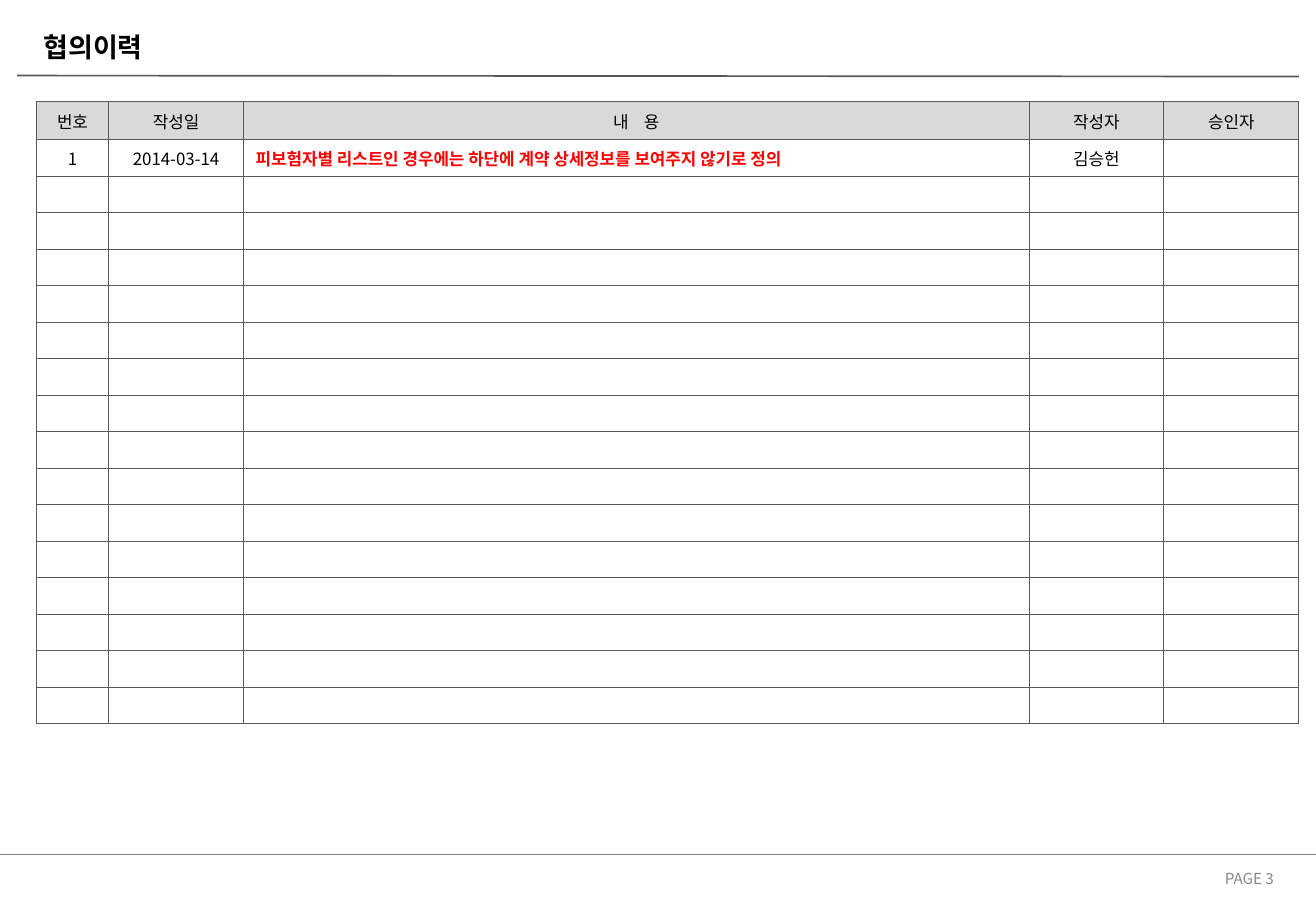
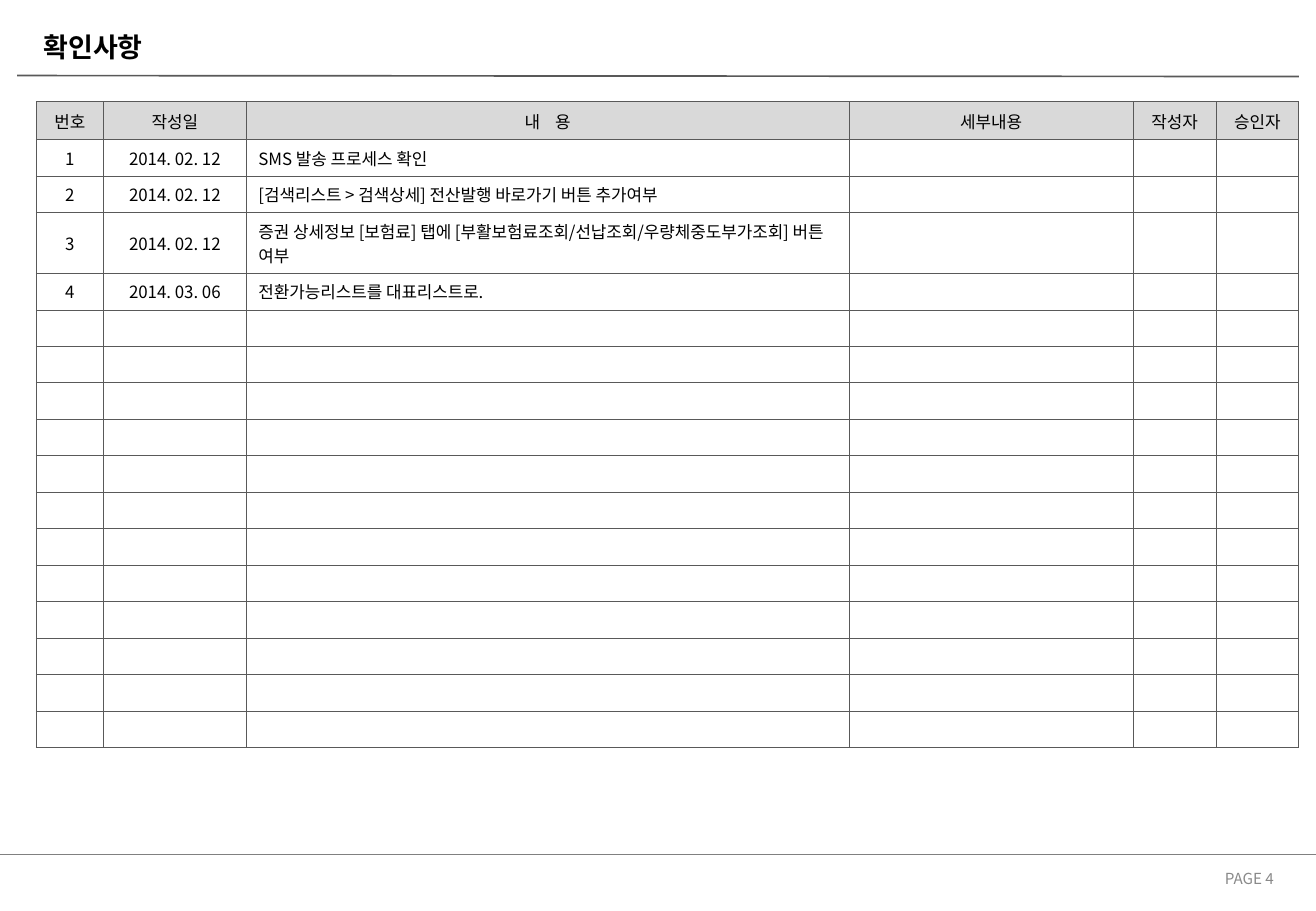
"""Build the discussion log and the check list slides."""
from lxml.etree import SubElement as Sub
from pptx import Presentation
from pptx.dml.color import RGBColor as Rgb
from pptx.enum.shapes import MSO_CONNECTOR as Link
from pptx.enum.text import MSO_ANCHOR as Anchor, MSO_AUTO_SIZE as Auto, PP_ALIGN as Align
from pptx.oxml.ns import qn
from pptx.util import Cm, Pt

BLACK, WHITE, RED = Rgb(0, 0, 0), Rgb(255, 255, 255), Rgb(255, 0, 0)
HEAD, EDGE = Rgb(0xD9, 0xD9, 0xD9), Rgb(0x59, 0x59, 0x59)
GREY, PALE = Rgb(0x80, 0x80, 0x80), Rgb(0x89, 0x89, 0x89)
FONT = "Noto Sans CJK KR"

TITLE = {"size": Pt(16), "bold": True, "color": BLACK}
PAGE = {"size": Pt(9), "color": PALE}
BODY = {"size": Pt(10), "color": BLACK}
ALERT = {"size": Pt(10), "bold": True, "color": RED}

RULES = [
    ((-0.03, 17.86, 27.53, 17.86), GREY, 0.25),
    ((0.36, 1.58, 27.15, 1.6), EDGE, 1),
]
LEFT, TOP, WIDTH = 0.76, 2.13, 26.39
HIGH, LOW, COUNT = 0.79, 0.76, 17
MAIN, WIDE = 2, "내 용"
FIRST = 3

SLIDES = [
    {
        "title": "협의이력",
        "look": ALERT,
        "cols": [1.51, 2.82, None, 2.82, 2.82],
        "rows": [
            ["번호", "작성일", WIDE, "작성자", "승인자"],
            ["1", "2014-03-14",
             "피보험자별 리스트인 경우에는 하단에 계약 상세정보를 보여주지 않기로 정의", "김승헌"],
        ],
    },
    {
        "title": "확인사항",
        "look": BODY,
        "cols": [1.4, 2.99, None, 5.94, 1.73, 1.73],
        "rows": [
            ["번호", "작성일", WIDE, "세부내용", "작성자", "승인자"],
            ["1", "2014. 02. 12", "SMS 발송 프로세스 확인"],
            ["2", "2014. 02. 12", "[검색리스트 > 검색상세] 전산발행 바로가기 버튼 추가여부"],
            ["3", "2014. 02. 12",
             "증권 상세정보 [보험료] 탭에 [부활보험료조회/선납조회/우량체중도부가조회] 버튼 여부"],
            ["4", "2014. 03. 06", "전환가능리스트를 대표리스트로."],
        ],
    },
]


def face(props):
    for tag in ("a:latin", "a:ea"):
        for old in props.findall(qn(tag)):
            props.remove(old)
        Sub(props, qn(tag), typeface=FONT)


def write(frame, text, look, align):
    para = frame.paragraphs[0]
    para.alignment = align
    if not text:
        face(Sub(para._p, qn("a:endParaRPr"), sz=str(int(look["size"].pt * 100))))
        return
    run = para.add_run()
    run.text = text
    for key, val in look.items():
        if key == "color":
            run.font.color.rgb = val
        else:
            setattr(run.font, key, val)
    props = run.font._element
    face(props)
    if text == WIDE:
        props.set("spc", "340")


def place(shape, *box):
    for key, val in zip(("left", "top", "width", "height"), box):
        setattr(shape, key, Cm(val))


def border(cell):
    props = cell._tc.get_or_add_tcPr()
    for side in "LRTB":
        line = Sub(props, qn(f"a:ln{side}"), w=str(Pt(0.5)))
        Sub(Sub(line, qn("a:solidFill")), qn("a:srgbClr"), val=str(EDGE))


def draw_rules(slide, layout):
    for ends, color, width in RULES:
        line = slide.shapes.add_connector(Link.STRAIGHT, *map(Cm, ends))
        line.line.color.rgb = color
        line.line.width = Pt(width)
        Sub(line._element.spPr, qn("a:effectLst"))
        layout.shapes.element.append(line._element)


def draw_heads(slide, title, page):
    name = slide.shapes.title
    place(name, 0.66, 0.58, 20.83, 0.81)
    note = slide.shapes.add_textbox(0, 0, 0, 0)
    place(note, 20.45, 18.06, 6.43, 0.61)
    for shape, text, look, align in (
        (name, title, TITLE, Align.LEFT),
        (note, f"PAGE {page}", PAGE, Align.RIGHT),
    ):
        frame = shape.text_frame
        frame.word_wrap = True
        frame.auto_size = Auto.NONE
        frame.vertical_anchor = Anchor.MIDDLE
        write(frame, text, look, align)


def draw_table(slide, cols, rows, look):
    rest = WIDTH - sum(col or 0 for col in cols)
    sizes = [HIGH] + [LOW] * (COUNT - 1)
    box = map(Cm, (LEFT, TOP, WIDTH, sum(sizes)))
    table = slide.shapes.add_table(COUNT, len(cols), *box).table
    for col, width in zip(table.columns, cols):
        col.width = Cm(width or rest)
    for r, (row, size) in enumerate(zip(table.rows, sizes)):
        row.height = Cm(size)
        texts = rows[r] if r < len(rows) else []
        for c, cell in enumerate(row.cells):
            main = r > 0 and c == MAIN
            border(cell)
            cell.fill.solid()
            cell.fill.fore_color.rgb = WHITE if r else HEAD
            cell.vertical_anchor = Anchor.MIDDLE
            text = texts[c] if c < len(texts) else ""
            write(cell.text_frame, text, look if main else BODY,
                  Align.LEFT if main else Align.CENTER)


def main():
    deck = Presentation()
    deck.slide_width, deck.slide_height = Cm(27.51), Cm(19.05)
    layout = deck.slide_layouts[5]
    for page, data in enumerate(SLIDES, FIRST):
        slide = deck.slides.add_slide(layout)
        if page == FIRST:
            draw_rules(slide, layout)
        draw_heads(slide, data["title"], page)
        draw_table(slide, data["cols"], data["rows"], data["look"])
    deck.save("out.pptx")


if __name__ == "__main__":
    main()
